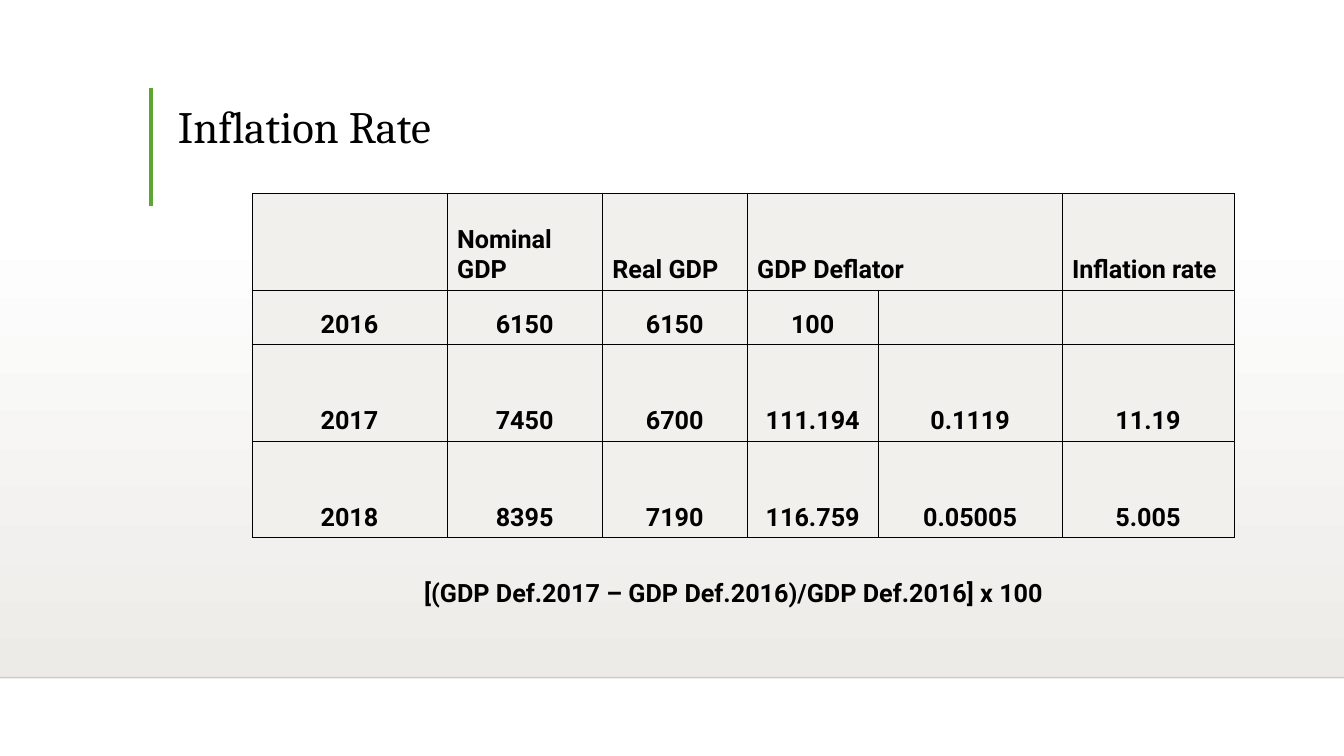
import pptx
import pptx.util
import pptx.dml.color
import pptx.enum.dml
import pptx.enum.shapes
import pptx.enum.text
import pptx.oxml
import pptx.oxml.ns
from lxml import etree

Pt = pptx.util.Pt
Align = pptx.enum.text.PP_ALIGN
Anchor = pptx.enum.text.MSO_ANCHOR

HEADING = "Inflation Rate"
HEADERS = ["", "Nominal GDP", "Real GDP", "GDP Deflator", "", "Inflation rate"]
YEARS = [
    ["2016", "6150", "6150", "100", "", ""],
    ["2017", "7450", "6700", "111.194", "0.1119", "11.19"],
    ["2018", "8395", "7190", "116.759", "0.05005", "5.005"],
]
FORMULA = "[(GDP Def.2017 – GDP Def.2016)/GDP Def.2016] x 100"
COLUMN_WIDTHS = [139.5, 111, 103.5, 93.7, 131.3, 123]
ROW_HEIGHTS = [69, 39, 69, 69]
SLIDE_WIDTH, SLIDE_HEIGHT = 960.48, 540
BLACK, GREEN, CELL, STONE = "000000", "5FA534", "F1F0EC", "EDEBE7"


def color(value):
    return pptx.dml.color.RGBColor.from_string(value)


def write(paragraph, text, font, size, bold, align):
    paragraph.alignment = align
    run = paragraph.add_run()
    run.text = text
    run.font.name = font
    run.font.size = Pt(size)
    run.font.bold = bold
    run.font.color.rgb = color(BLACK)


def add_rule(slide, x1, y1, x2, y2, stroke, width):
    rule = slide.shapes.add_connector(
        pptx.enum.shapes.MSO_CONNECTOR.STRAIGHT, Pt(x1), Pt(y1), Pt(x2), Pt(y2))
    rule.line.color.rgb = color(stroke)
    rule.line.width = Pt(width)
    etree.SubElement(rule._element.spPr, pptx.oxml.ns.qn("a:effectLst"))
    return rule


def add_borders(cell):
    properties = cell._tc.get_or_add_tcPr()
    for side in ("lnL", "lnR", "lnT", "lnB"):
        properties.append(pptx.oxml.parse_xml(
            f'<a:{side} {pptx.oxml.ns.nsdecls("a")} w="{Pt(0.45)}"><a:solidFill>'
            f'<a:srgbClr val="{BLACK}"/></a:solidFill></a:{side}>'))


def add_backdrop(slide):
    floor = slide.shapes.add_shape(
        pptx.enum.shapes.MSO_SHAPE.RECTANGLE, 0, Pt(158.4), Pt(SLIDE_WIDTH), Pt(325))
    floor.shadow.inherit = False
    floor.line.fill.background()
    floor.fill.gradient()
    floor.fill.gradient_angle = 270
    for stop, shade in zip(floor.fill.gradient_stops, ("FFFFFF", STONE)):
        stop.color.rgb = color(shade)
    horizon = add_rule(slide, 0, 484, SLIDE_WIDTH, 484, "000001", 1)
    tint = horizon._element.spPr.find(".//" + pptx.oxml.ns.qn("a:srgbClr"))
    etree.SubElement(tint, pptx.oxml.ns.qn("a:alpha"), val="20000")
    add_rule(slide, 108, 63, 108, 147, GREEN, 3)


def add_heading(slide):
    heading = slide.shapes.title
    heading.left, heading.top, heading.width, heading.height = Pt(120), Pt(30), Pt(750), Pt(83)
    frame = heading.text_frame
    frame.vertical_anchor = Anchor.BOTTOM
    frame.paragraphs[0].line_spacing = 0.9
    write(frame.paragraphs[0], HEADING, "Cambria", 32, False, Align.LEFT)


def add_gdp_table(slide):
    rows = [HEADERS] + YEARS
    gdp = slide.shapes.add_table(
        len(rows), len(HEADERS), Pt(180), Pt(138),
        Pt(sum(COLUMN_WIDTHS)), Pt(sum(ROW_HEIGHTS))).table
    gdp.first_row = gdp.horz_banding = False
    for column, width in zip(gdp.columns, COLUMN_WIDTHS):
        column.width = Pt(width)
    for row, height in zip(gdp.rows, ROW_HEIGHTS):
        row.height = Pt(height)
    for r, values in enumerate(rows):
        for c, value in enumerate(values):
            cell = gdp.cell(r, c)
            add_borders(cell)
            cell.fill.solid()
            cell.fill.fore_color.rgb = color(CELL)
            cell.vertical_anchor = Anchor.BOTTOM
            if value:
                write(cell.text_frame.paragraphs[0], value, "Roboto", 18, True,
                      Align.CENTER if r else Align.LEFT)
    gdp.cell(0, 3).merge(gdp.cell(0, 4))


def add_formula(slide):
    formula = slide.shapes.add_textbox(Pt(251), Pt(409), Pt(546.5), Pt(29))
    formula.text_frame.word_wrap = True
    write(formula.text_frame.paragraphs[0], FORMULA, "Roboto", 18, True, Align.CENTER)


def main():
    deck = pptx.Presentation()
    deck.slide_width, deck.slide_height = Pt(SLIDE_WIDTH), Pt(SLIDE_HEIGHT)
    slide = deck.slides.add_slide(deck.slide_layouts[5])
    add_backdrop(slide)
    add_heading(slide)
    add_gdp_table(slide)
    add_formula(slide)
    deck.save("out.pptx")


if __name__ == "__main__":
    main()
